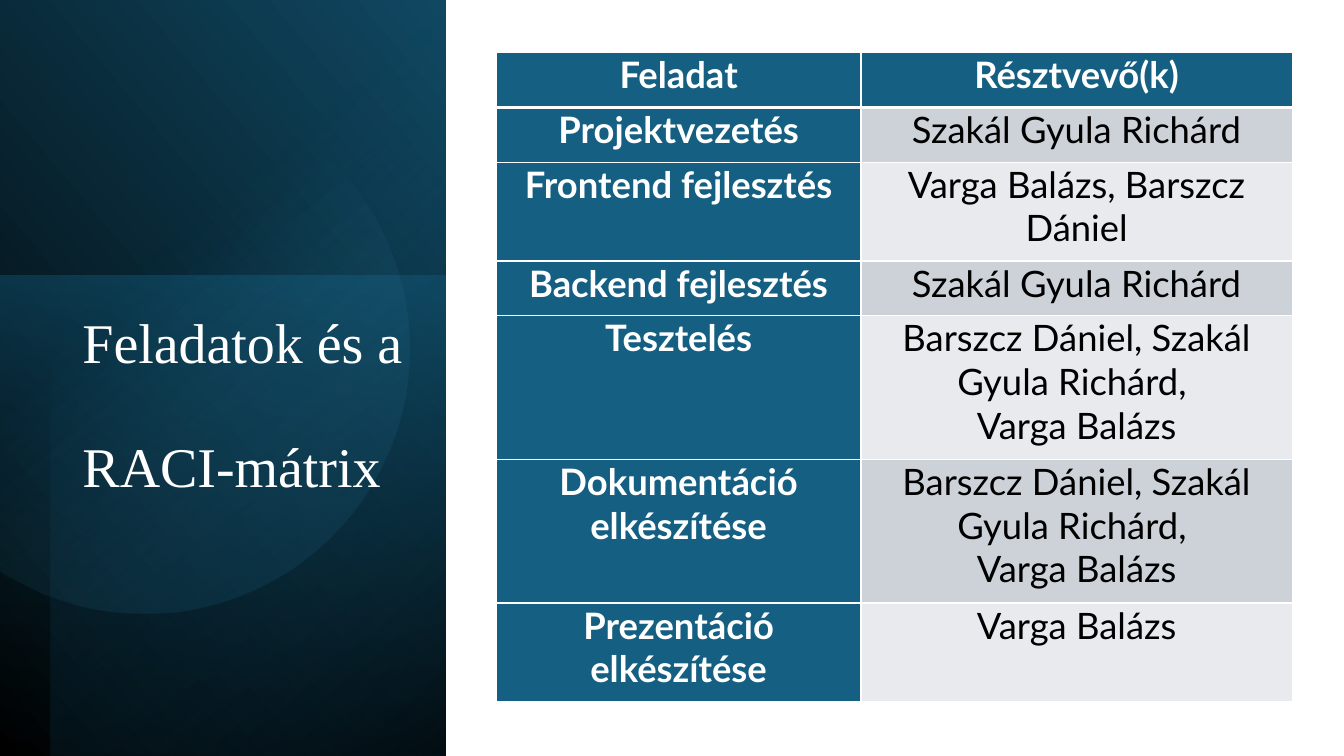
import math

import pptx
import pptx.dml.color
import pptx.enum.shapes
import pptx.enum.text
import pptx.oxml
import pptx.oxml.ns
import pptx.util
from lxml import etree
from pptx.util import Cm

COLORS = {
    "white": "FFFFFF",
    "black": "000000",
    "teal": "156082",
    "deep_teal": "104862",
    "night_teal": "0B3041",
    "sky": "46B1E1",
    "band_dark": "CCD2D8",
    "band_light": "E8EAED",
}
TITLE_LINES = ["Feladatok és a", "RACI-mátrix"]
WHOLE_TEAM = "Barszcz Dániel, Szakál Gyula Richárd, \vVarga Balázs"
# Task, participants, row height in cm
TASKS = [
    ("Feladat", "Résztvevő(k)", 1.38),
    ("Projektvezetés", "Szakál Gyula Richárd", 1.38),
    ("Frontend fejlesztés", "Varga Balázs, Barszcz Dániel", 2.49),
    ("Backend fejlesztés", "Szakál Gyula Richárd", 1.38),
    ("Tesztelés", WHOLE_TEAM, 3.62),
    ("Dokumentáció elkészítése", WHOLE_TEAM, 3.62),
    ("Prezentáció elkészítése", "Varga Balázs", 2.49),
]


def rgb(name):
    return pptx.dml.color.RGBColor.from_string(COLORS[name])


def fill_gradient(shape, stops, angle):
    """Fill with (position %, colour, opacity %) stops along a clockwise angle."""
    shape.shadow.inherit = False
    shape.line.fill.background()
    stop_xml = "".join(
        f'<a:gs pos="{position * 1000}"><a:srgbClr val="{COLORS[color]}">'
        f'<a:alpha val="{opacity * 1000}"/></a:srgbClr></a:gs>'
        for position, color, opacity in stops
    )
    gradient = pptx.oxml.parse_xml(
        f'<a:gradFill {pptx.oxml.ns.nsdecls("a")} rotWithShape="1"><a:gsLst>{stop_xml}</a:gsLst>'
        f'<a:lin ang="{round(angle * 60000)}" scaled="0"/></a:gradFill>'
    )
    properties = shape.element.spPr
    properties.insert(2, gradient)


def add_turned_layer(slide, left, top, width, height, turn, flipped, stops, angle):
    """Cover the given box with a rectangle turned by a quarter."""
    layer = slide.shapes.add_shape(
        pptx.enum.shapes.MSO_SHAPE.RECTANGLE,
        Cm(left + (width - height) / 2), Cm(top + (height - width) / 2),
        Cm(height), Cm(width),
    )
    layer.rotation = turn
    if flipped:
        layer.element.spPr.find(pptx.oxml.ns.qn("a:xfrm")).set("flipH", "1")
    fill_gradient(layer, stops, angle)


def add_cut_circle(slide, left, center_x, center_y, radius):
    """Draw a circle cut off along the left edge of the panel."""
    limit = math.pi - math.acos((center_x - left) / radius)
    steps = 90
    angles = [-limit + 2 * limit * step / steps for step in range(steps + 1)]
    rim = [
        (Cm(center_x + radius * math.cos(angle)), Cm(center_y + radius * math.sin(angle)))
        for angle in angles
    ]
    builder = slide.shapes.build_freeform(*rim[0])
    builder.add_line_segments(rim[1:], close=True)
    fill_gradient(builder.convert_to_shape(), [(39, "sky", 0), (100, "deep_teal", 26)], 51.6)


def add_title(slide, left, top, width, height):
    title = slide.shapes.add_textbox(Cm(left), Cm(top), Cm(width), Cm(height)).text_frame
    title.word_wrap = True
    title.margin_top = Cm(0.25)
    for index, line in enumerate(TITLE_LINES):
        paragraph = title.paragraphs[0] if index == 0 else title.add_paragraph()
        paragraph.line_spacing = 0.9
        if index:
            paragraph.space_before = pptx.util.Pt(45)
        run = paragraph.add_run()
        run.text = line
        run.font.name = "Times New Roman"
        run.font.size = pptx.util.Pt(40)
        run.font.color.rgb = rgb("white")


def add_title_panel(slide, left, top, width, height):
    add_turned_layer(slide, left, top, width, height, 90, True,
                     [(0, "black", 100), (100, "deep_teal", 100)], 310)
    add_turned_layer(slide, left, top + 6.95, width, height - 6.95, 270, False,
                     [(0, "teal", 50), (100, "night_teal", 0)], 190)
    add_turned_layer(slide, left + 1.27, top, width - 1.27, height, 270, True,
                     [(0, "black", 59), (69, "teal", 0)], 220)
    add_cut_circle(slide, left, left + 3.65, top + 8.78, 6.67)
    add_title(slide, left + 1.83, top + 7.7, 8.76, 8.53)


def set_borders(cell, bottom_width):
    properties = cell._tc.get_or_add_tcPr()
    for index, (side, width) in enumerate(
        [("lnL", 1), ("lnR", 1), ("lnT", 1), ("lnB", bottom_width)]
    ):
        border = pptx.oxml.parse_xml(
            f'<a:{side} {pptx.oxml.ns.nsdecls("a")} w="{pptx.util.Pt(width)}"><a:solidFill>'
            f'<a:srgbClr val="{COLORS["white"]}"/></a:solidFill></a:{side}>'
        )
        properties.insert(index, border)


def fill_cell(cell, text, background, emphasized):
    cell.margin_left = cell.margin_right = Cm(0.33)
    cell.margin_top = cell.margin_bottom = 0
    cell.fill.solid()
    cell.fill.fore_color.rgb = rgb(background)
    paragraph = cell.text_frame.paragraphs[0]
    paragraph.alignment = pptx.enum.text.PP_ALIGN.CENTER
    paragraph.space_after = pptx.util.Pt(12)
    for index, line in enumerate(text.split("\v")):
        if index:
            paragraph.add_line_break()
        run = paragraph.add_run()
        run.text = line
        run.font.name = "Lato"
        run.font.size = pptx.util.Pt(26)
        run.font.bold = emphasized
        run.font.color.rgb = rgb("white" if emphasized else "black")


def add_task_table(slide, left, top, width, height):
    tasks = slide.shapes.add_table(
        len(TASKS), 2, Cm(left), Cm(top), Cm(width), Cm(height)
    ).table
    tasks.columns[0].width = Cm(9.19)
    tasks.columns[1].width = Cm(width - 9.19)
    for row, (task, participants, row_height) in enumerate(TASKS):
        tasks.rows[row].height = Cm(row_height)
        band = "band_dark" if row % 2 else "band_light"
        is_header = row == 0
        fill_cell(tasks.cell(row, 0), task, "teal", True)
        fill_cell(tasks.cell(row, 1), participants, "teal" if is_header else band, is_header)
        for column in range(2):
            set_borders(tasks.cell(row, column), 3 if is_header else 1)
            if row == 1:
                top_border = tasks.cell(row, column)._tc.tcPr.find(pptx.oxml.ns.qn("a:lnT"))
                top_border.set("w", str(pptx.util.Pt(3)))


def main():
    presentation = pptx.Presentation()
    presentation.slide_width = Cm(33.87)
    presentation.slide_height = Cm(19.05)
    slide = presentation.slides.add_slide(presentation.slide_layouts[6])
    add_title_panel(slide, 0, 0, 11.23, 19.05)
    add_task_table(slide, 12.51, 1.33, 20.06, 16.36)
    presentation.save("out.pptx")


if __name__ == "__main__":
    main()
